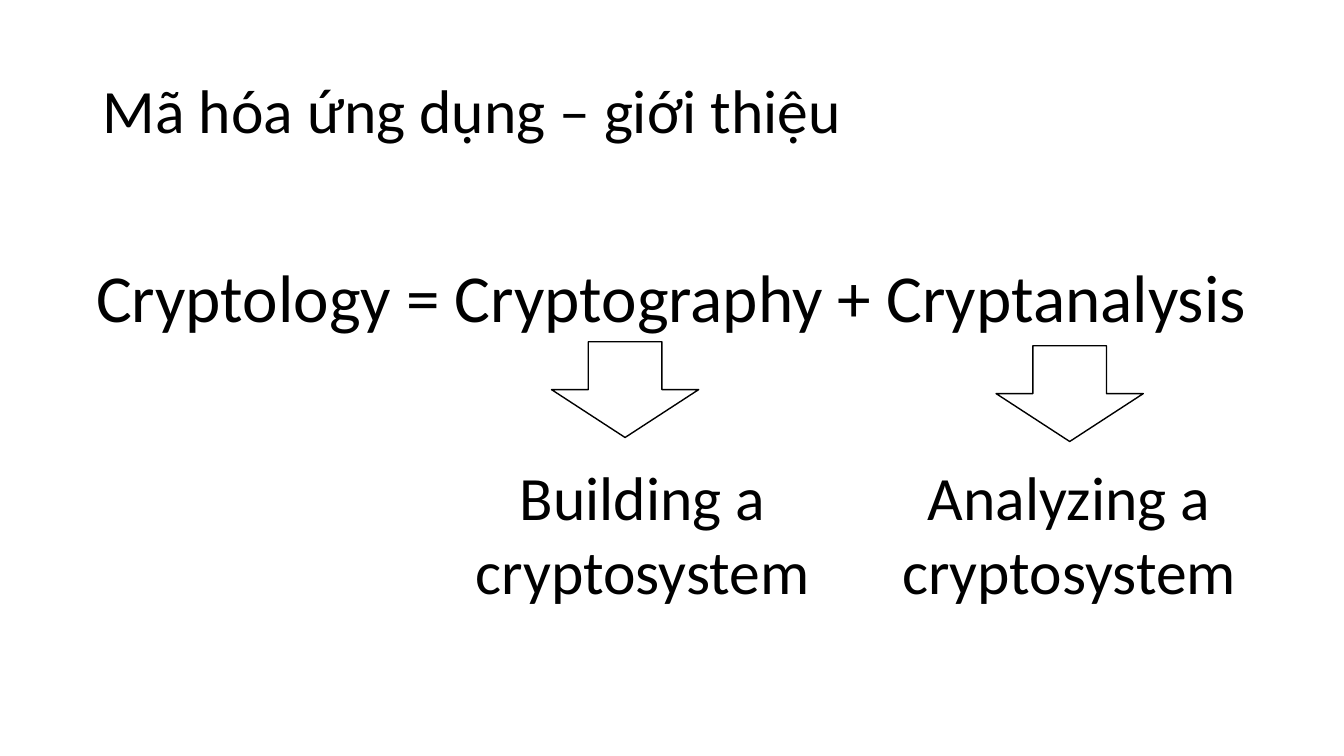
"""Builds the slide that introduces applied cryptology and its two branches."""
from pptx import Presentation
from pptx.dml.color import RGBColor
from pptx.enum.shapes import MSO_SHAPE
from pptx.enum.text import MSO_ANCHOR, PP_ALIGN
from pptx.util import Emu, Pt

EMU_PER_PX = 9144
COLOURS = {"ink": "000000", "paper": "FFFFFF"}
FONT = "Calibri"


def px(length):
    """Turn a length in px, 100 to the inch, into EMU."""
    return Emu(length * EMU_PER_PX)


def colour(name):
    """Return the named colour."""
    return RGBColor.from_string(COLOURS[name])


def write(frame, words, size, align):
    """Put one formatted paragraph into a text frame."""
    frame.word_wrap = True
    frame.text = words
    paragraph = frame.paragraphs[0]
    paragraph.alignment = align
    for run in paragraph.runs:
        run.font.name = FONT
        run.font.size = Pt(size)
        run.font.color.rgb = colour("ink")
    return paragraph


def add_heading(slide, words):
    """Place and fill the title placeholder."""
    heading = slide.shapes.title
    heading.left, heading.top = px(92), px(40)
    heading.width, heading.height = px(1150), px(145)
    heading.text_frame.vertical_anchor = MSO_ANCHOR.MIDDLE
    write(heading.text_frame, words, 44, PP_ALIGN.LEFT).line_spacing = 0.9


def add_statement(slide, words, left, top, width, height, size):
    """Add a centred text box."""
    statement = slide.shapes.add_textbox(px(left), px(top), px(width), px(height))
    write(statement.text_frame, words, size, PP_ALIGN.CENTER)


def add_down_arrow(slide, left, top):
    """Add an outlined arrow that points down to an explanation."""
    arrow = slide.shapes.add_shape(
        MSO_SHAPE.DOWN_ARROW, px(left), px(top), px(146), px(95)
    )
    arrow.shadow.inherit = False
    arrow.fill.solid()
    arrow.fill.fore_color.rgb = colour("paper")
    arrow.line.color.rgb = colour("ink")
    arrow.line.width = Pt(1)


def main():
    """Build and save the slide."""
    deck = Presentation()
    deck.slide_width, deck.slide_height = px(1333), px(750)
    slide = deck.slides.add_slide(deck.slide_layouts[5])
    add_heading(slide, "Mã hóa ứng dụng – giới thiệu")
    add_statement(
        slide, "Cryptology = Cryptography + Cryptanalysis", 66, 248, 1200, 91, 48
    )
    branches = [
        ("Building a cryptosystem", 426, 547, 339),
        ("Analyzing a cryptosystem", 849, 988, 343),
    ]
    for meaning, meaning_left, arrow_left, arrow_top in branches:
        add_statement(slide, meaning, meaning_left, 450, 423, 158, 44)
        add_down_arrow(slide, arrow_left, arrow_top)
    deck.save("out.pptx")


if __name__ == "__main__":
    main()
